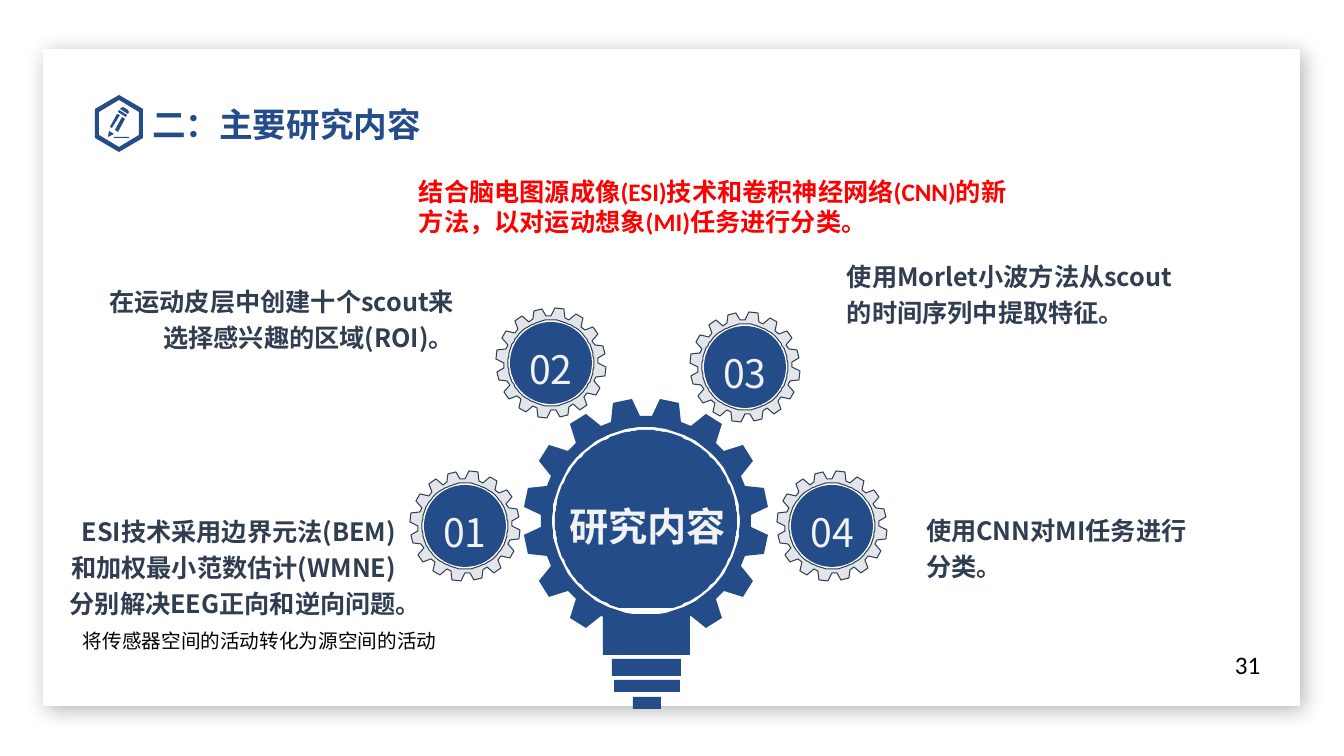
import math

import pptx
import pptx.dml.color
import pptx.enum.shapes
import pptx.enum.text
import pptx.oxml
import pptx.oxml.ns
import pptx.util
from lxml import etree

PX = 914400 / 100.8
SLIDE = (1344, 756)
COLORS = {"blue": "244C89", "gear": "E2E6EA", "outline": "333F50", "dark": "313D51",
          "pale": "F0F2F4", "red": "FF0000", "black": "000000", "white": "FFFFFF"}
NOTO, CALIBRI, TITLE_FONT = "Noto Sans CJK SC", "Calibri", "Cabin"
ALIGN = pptx.enum.text.PP_ALIGN
SHAPES = pptx.enum.shapes.MSO_SHAPE

TITLE = ("二：主要研究内容", (142, 95, 459, 50))
CARD = (43, 49, 1257, 657)
# box, alignment, text
TOPICS = [
    ((92, 280, 362, 71), ALIGN.RIGHT, "在运动皮层中创建十个scout来选择感兴趣的区域(ROI)。"),
    ((57, 510, 339, 107), ALIGN.RIGHT,
     "ESI技术采用边界元法(BEM)和加权最小范数估计(WMNE)分别解决EEG正向和逆向问题。"),
    ((847, 255, 349, 71), ALIGN.LEFT, "使用Morlet小波方法从scout的时间序列中提取特征。"),
    ((926, 509, 268, 71), ALIGN.LEFT, "使用CNN对MI任务进行分类。"),
]
# box, size, color, bold, text
NOTES = [
    ((409, 171, 622, 72), 18, "red", True,
     "结合脑电图源成像(ESI)技术和卷积神经网络(CNN)的新方法，以对运动想象(MI)任务进行分类。"),
    ((73, 624, 672, 34), 14, "black", False, "将传感器空间的活动转化为源空间的活动"),
    ((1225, 644, 59, 40), 18, "black", False, "31"),
]
BULB_CENTER, BULB_TEXT, BULB_BOX = (646, 521), "研究内容", (550, 488, 195, 62)
STEPS = [("01", (465, 526)), ("02", (551, 363)), ("03", (745, 367)), ("04", (832, 526))]
BULB_BASE = [(603, 614, 87, 41), (612, 659, 69, 17), (614, 680, 66, 12), (633, 697, 28, 12)]
PENCIL_ICON = [
    [(119, 95), (143, 109), (143, 138), (119, 152), (95, 138), (95, 109)],
    [(119, 100), (139, 112), (139, 135), (119, 147), (99, 135), (99, 112)],
    [(114, 137), (129, 137), (129, 138), (114, 138)],
    [(115, 130), (122, 117), (125, 119), (118, 132)],
    [(110, 127), (117, 114), (120, 115), (112, 128)],
    [(108, 137), (109, 131), (114, 134)],
    [(119, 110), (118, 112), (126, 117), (127, 115)],
    [(121, 108), (123, 107), (128, 110), (129, 112), (128, 114), (120, 109)],
]
TEETH, TIP_HALF, ROOT_HALF = 16, 4.5, 8.1

prs = pptx.Presentation()
prs.slide_width, prs.slide_height = (round(v * PX) for v in SLIDE)
layout = prs.slide_layouts[5]
slide = prs.slides.add_slide(layout)


def emu(box):
    return [round(v * PX) for v in box]


def rgb(name):
    return pptx.dml.color.RGBColor.from_string(COLORS[name])


def paint(sp, fill, line=None):
    sp.shadow.inherit = False
    sp.fill.solid()
    sp.fill.fore_color.rgb = rgb(fill)
    if line:
        sp.line.color.rgb = rgb(line)
        sp.line.width = pptx.util.Pt(0.75)
    else:
        sp.line.fill.background()
    return sp


def preset(kind, box, fill):
    return paint(slide.shapes.add_shape(kind, *emu(box)), fill)


def outline(contours, fill, line=None):
    """Draw closed contours as one shape; inner contours become holes."""
    fb = None
    for first, *rest in contours:
        if fb is None:
            fb = slide.shapes.build_freeform(*first, scale=PX)
        else:
            fb.move_to(*first)
        fb.add_line_segments(rest, close=True)
    return paint(fb.convert_to_shape(), fill, line)


def polar(center, radius, degrees):
    """Point at an angle measured from straight down."""
    a = math.radians(degrees)
    return (round(center[0] + radius * math.sin(a), 2),
            round(center[1] + radius * math.cos(a), 2))


def gear(center, tip, root, hole, phase, fill, line=None):
    rim = []
    for i in range(TEETH):
        mid = phase + i * 360 / TEETH
        rim += [polar(center, root, mid - ROOT_HALF), polar(center, tip, mid - TIP_HALF),
                polar(center, tip, mid + TIP_HALF), polar(center, root, mid + ROOT_HALF)]
    inner = [polar(center, hole, -a) for a in range(0, 360, 4)]
    outline([rim, inner], fill, line)


def write(tf, text, size, color, font, bold=False, align=ALIGN.LEFT, spacing=None):
    p = tf.paragraphs[0]
    p.text = text
    p.alignment = align
    p.line_spacing = spacing
    f = p.font
    f.size, f.bold, f.name = pptx.util.Pt(size), bold, font
    f.color.rgb = rgb(color)
    if font == NOTO:
        latin = p._p.find(".//" + pptx.oxml.ns.qn("a:latin"))
        ea = etree.Element(pptx.oxml.ns.qn("a:ea"), typeface=font)
        latin.addnext(ea)


def text_box(box, text, size, color, font, margin=True, wrap=True, **style):
    tf = slide.shapes.add_textbox(*emu(box)).text_frame
    tf.word_wrap = wrap
    if not margin:
        tf.margin_left = tf.margin_right = tf.margin_top = tf.margin_bottom = 0
    write(tf, text, size, color, font, **style)


# Card and icon belong to the layout, behind the slide's own content
card = preset(SHAPES.RECTANGLE, CARD, "white")
effects = card.element.spPr.find(pptx.oxml.ns.qn("a:effectLst"))
effects.append(pptx.oxml.parse_xml(
    f'<a:outerShdw {pptx.oxml.ns.nsdecls("a")} blurRad="190500" dist="63500" dir="2700000" '
    'algn="tl" rotWithShape="0"><a:srgbClr val="000000"><a:alpha val="30000"/></a:srgbClr>'
    '</a:outerShdw>'))
icon = outline(PENCIL_ICON, "blue")
for i, sp in enumerate((card, icon)):
    sp.element.xpath(".//p:cNvPr")[0].set("id", str(20 + i))
    layout.shapes.element.insert(2 + i, sp.element)

title = slide.shapes.title
title.left, title.top, title.width, title.height = emu(TITLE[1])
title.text_frame.vertical_anchor = pptx.enum.text.MSO_ANCHOR.MIDDLE
write(title.text_frame, TITLE[0], 24, "blue", TITLE_FONT, bold=True, spacing=1.2)

for box, align, text in TOPICS:
    text_box(box, text, 18, "dark", NOTO, margin=False, bold=True, align=align, spacing=1.2)

gear(BULB_CENTER, 123, 105, 94, 360 / TEETH / 2, "blue")
for box in BULB_BASE:
    preset(SHAPES.RECTANGLE, box, "blue")
outline([[polar(BULB_CENTER, 91, a) for a in range(17, 344, 2)]], "blue")
text_box(BULB_BOX, BULB_TEXT, 28, "pale", NOTO, bold=True, align=ALIGN.CENTER, spacing=1.2)

for number, (x, y) in STEPS:
    gear((x, y), 55, 47, 43, 13.8, "gear", "outline")
    preset(SHAPES.OVAL, (x - 41, y - 41, 82, 82), "blue")
    text_box((x - 33, y - 32, 66, 62), number, 28, "pale", NOTO, wrap=False,
             align=ALIGN.CENTER, spacing=1.2)

for box, size, color, bold, text in NOTES:
    text_box(box, text, size, color, CALIBRI, bold=bold)

prs.save("out.pptx")
